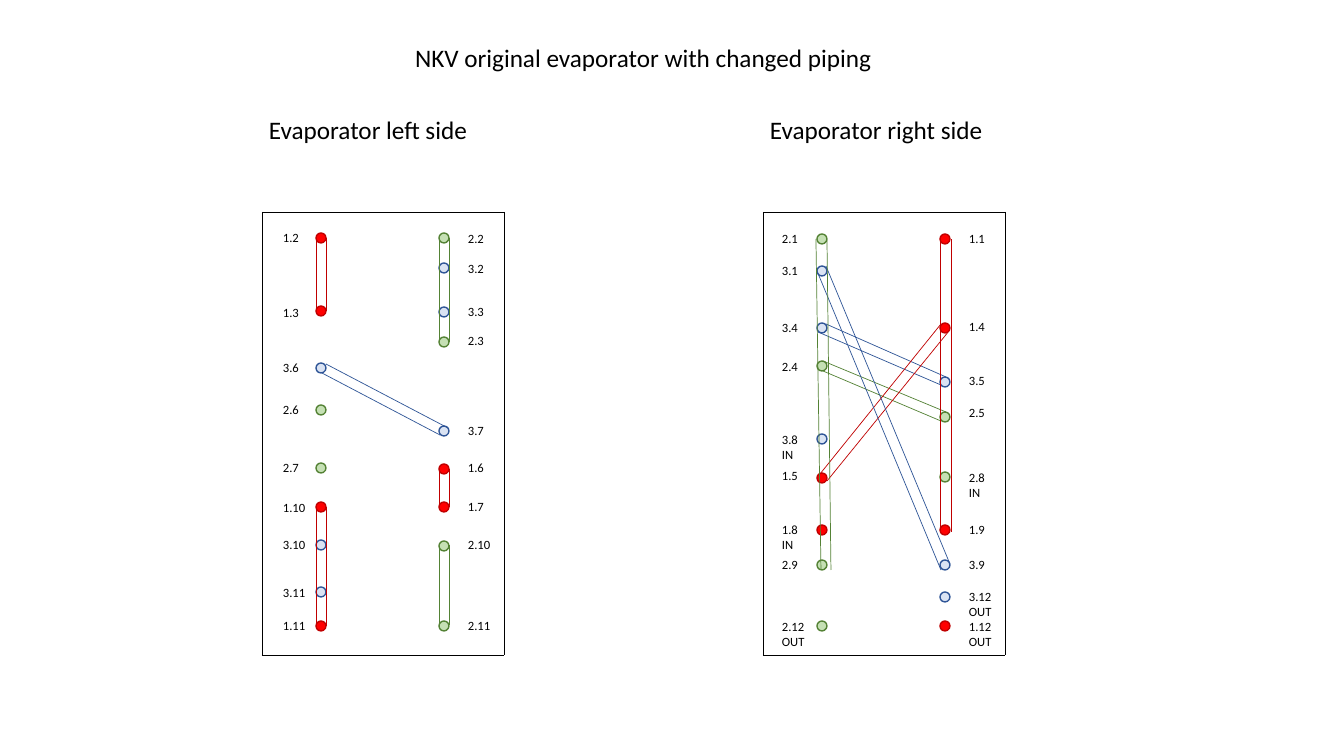
import pptx
import pptx.util
from dataclasses import dataclass
from lxml import etree
from pptx.dml.color import RGBColor
from pptx.enum.shapes import MSO_CONNECTOR, MSO_SHAPE
from pptx.enum.text import MSO_ANCHOR, MSO_AUTO_SIZE, PP_ALIGN
from pptx.oxml.ns import qn

TITLE = "NKV original evaporator with changed piping"

# Each port: label, top of its dot, top of its label.
# The digit before the point is the circuit, which sets the colour.
# Each pipe: circuit, then its two walls as (x1, y1, x2, y2).
PANELS = [
    {
        "heading": "Evaporator left side",
        "left": 262,
        "label_offsets": (11, 196),
        "ports": (
            [("1.2", 233, 225), ("1.3", 306, 300), ("3.6", 363, 355),
             ("2.6", 405, 397), ("2.7", 463, 455), ("1.10", 502, 495),
             ("3.10", 540, 532), ("3.11", 587, 580), ("1.11", 621, 613)],
            [("2.2", 233, 226), ("3.2", 263, 256), ("3.3", 307, 299),
             ("2.3", 337, 328), ("3.7", 426, 418), ("1.6", 464, 455),
             ("1.7", 502, 494), ("2.10", 541, 532), ("2.11", 621, 613)],
        ),
        "pipes": [
            ("1", (316, 238, 316, 311), (326, 238, 326, 311)),
            ("2", (439, 238, 439, 342), (449, 238, 449, 342)),
            ("3", (322, 373, 440, 435), (326, 364, 448, 428)),
            ("1", (439, 469, 439, 507), (449, 469, 449, 507)),
            ("2", (439, 546, 439, 626), (449, 545, 449, 625)),
            ("1", (316, 509, 316, 628), (326, 507, 326, 626)),
        ],
    },
    {
        "heading": "Evaporator right side",
        "left": 763,
        "label_offsets": (9, 196),
        "ports": (
            [("2.1", 234, 226), ("3.1", 266, 258), ("3.4", 323, 315),
             ("2.4", 361, 354), ("3.8 IN", 434, 427), ("1.5", 473, 463),
             ("1.8 IN", 525, 517), ("2.9", 560, 552), ("2.12 OUT", 621, 614)],
            [("1.1", 234, 226), ("1.4", 323, 314), ("3.5", 377, 368),
             ("2.5", 412, 400), ("2.8 IN", 472, 465), ("1.9", 525, 517),
             ("3.9", 560, 552), ("3.12 OUT", 592, 584), ("1.12 OUT", 621, 614)],
        ),
        "pipes": [
            ("2", (823, 371, 941, 421), (823, 361, 946, 412)),
            ("3", (818, 332, 941, 385), (826, 324, 946, 377)),
            ("1", (820, 474, 941, 324), (827, 481, 949, 331)),
            ("3", (817, 271, 941, 570), (826, 266, 950, 564)),
            ("1", (940, 530, 940, 236), (951, 532, 951, 239)),
            ("2", (816, 239, 821, 569), (827, 240, 831, 570)),
        ],
    },
]


@dataclass(frozen=True)
class Theme:
    font = "Calibri"
    heading_size = 18
    label_size = 9
    ink = "000000"
    fills = {"1": "FF0000", "2": "C5E0B4", "3": "DAE3F3"}
    lines = {"1": "C00000", "2": "548235", "3": "2F5597"}
    thin = 0.5
    outline = 1


EMU_PER_PX = 914400 / 100.8
SLIDE_SIZE = (1344, 756)
PANEL_TOP, PANEL_WIDTH, PANEL_HEIGHT = 212, 242, 443
DOT_OFFSETS = (54, 177)
DOT_SIZE = 10


def px(*lengths):
    return [pptx.util.Emu(round(length * EMU_PER_PX)) for length in lengths]


def color(value):
    return RGBColor.from_string(value)


def write(shape, text, size):
    frame = shape.text_frame
    frame.text = text
    frame_format = {
        "word_wrap": True,
        "auto_size": MSO_AUTO_SIZE.SHAPE_TO_FIT_TEXT,
        "vertical_anchor": MSO_ANCHOR.TOP,
    }
    for name, value in frame_format.items():
        setattr(frame, name, value)
    paragraph = frame.paragraphs[0]
    paragraph.alignment = PP_ALIGN.LEFT
    paragraph.line_spacing = 1.0
    font = paragraph.runs[0].font
    font_format = {"name": Theme.font, "size": pptx.util.Pt(size)}
    for name, value in font_format.items():
        setattr(font, name, value)
    font.color.rgb = color(Theme.ink)


def add_text(slide, text, box, size):
    write(slide.shapes.add_textbox(*px(*box)), text, size)


def add_line(slide, ends, line_color):
    line = slide.shapes.add_connector(MSO_CONNECTOR.STRAIGHT, *px(*ends))
    line.line.color.rgb = color(line_color)
    line.line.width = pptx.util.Pt(Theme.thin)
    properties = line._element.find(qn("p:spPr"))
    etree.SubElement(properties, qn("a:effectLst"))


def add_frame(slide, left):
    right, bottom = left + PANEL_WIDTH, PANEL_TOP + PANEL_HEIGHT
    for x in (left, right):
        add_line(slide, (x, PANEL_TOP, x, bottom), Theme.ink)
    for y in (PANEL_TOP, bottom):
        add_line(slide, (left, y, right, y), Theme.ink)


def add_dot(slide, left, top, circuit):
    dot = slide.shapes.add_shape(
        MSO_SHAPE.OVAL, *px(left, top, DOT_SIZE, DOT_SIZE))
    dot.shadow.inherit = False
    dot.fill.solid()
    dot.fill.fore_color.rgb = color(Theme.fills[circuit])
    dot.line.color.rgb = color(Theme.lines[circuit])
    dot.line.width = pptx.util.Pt(Theme.outline)


def add_panel(slide, panel):
    left = panel["left"]
    add_frame(slide, left)
    add_text(slide, panel["heading"], (left - 3, 109, 248, 40),
             Theme.heading_size)
    columns = zip(panel["ports"], DOT_OFFSETS, panel["label_offsets"])
    for ports, dot_offset, label_offset in columns:
        for label, dot_top, label_top in ports:
            add_dot(slide, left + dot_offset, dot_top, label[0])
            height = 40 if " " in label else 25
            add_text(slide, label, (left + label_offset, label_top, 44, height),
                     Theme.label_size)
    for circuit, *walls in panel["pipes"]:
        for wall in walls:
            add_line(slide, wall, Theme.lines[circuit])


def main():
    presentation = pptx.Presentation()
    presentation.slide_width, presentation.slide_height = px(*SLIDE_SIZE)
    slide = presentation.slides.add_slide(presentation.slide_layouts[5])
    title = slide.shapes.title
    title.left, title.top, title.width, title.height = px(405, 37, 576, 40)
    write(title, TITLE, Theme.heading_size)
    for panel in PANELS:
        add_panel(slide, panel)
    presentation.save("out.pptx")


if __name__ == "__main__":
    main()
